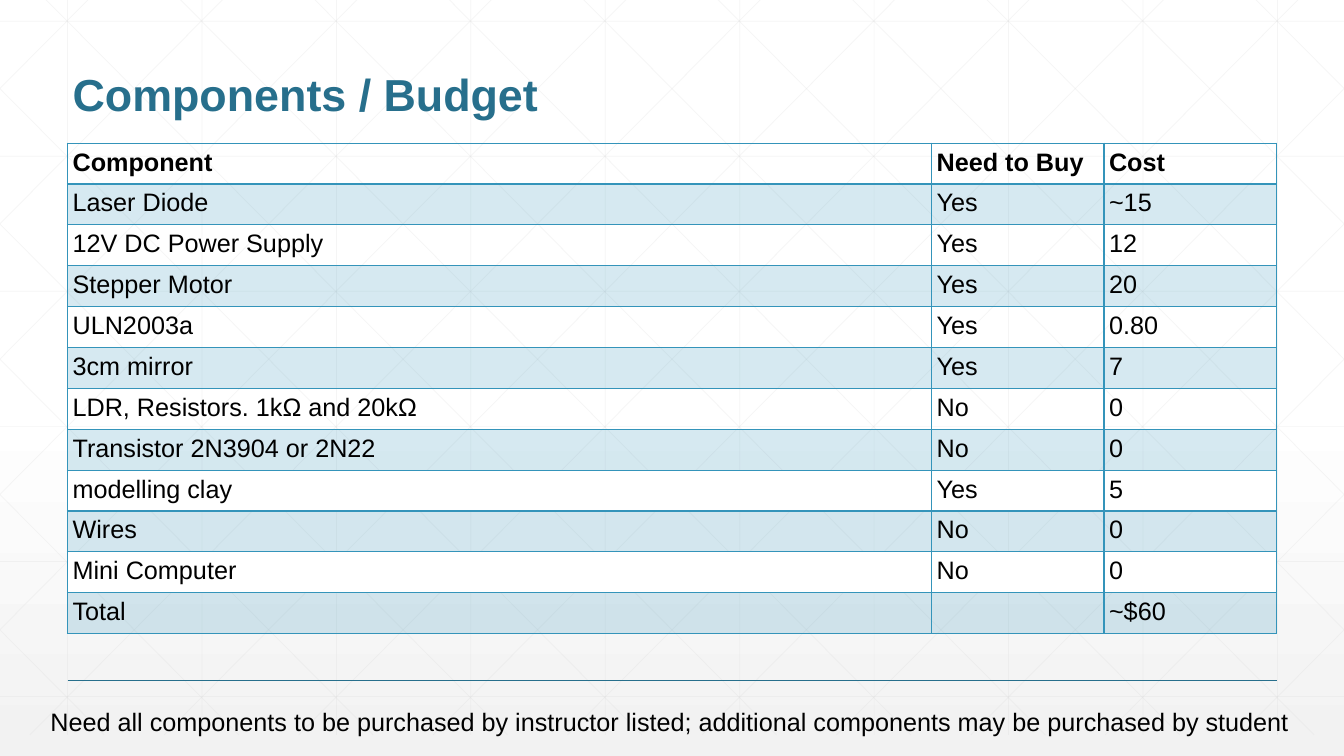
from lxml import etree
from pptx import Presentation
from pptx.dml.color import RGBColor
from pptx.enum.shapes import MSO_CONNECTOR
from pptx.enum.text import MSO_ANCHOR
from pptx.oxml import parse_xml
from pptx.oxml.ns import nsdecls, qn
from pptx.util import Inches, Pt

TITLE = "Components / Budget"
HEADER = ("Component", "Need to Buy", "Cost")
ITEMS = [
    ("Laser Diode", "Yes", "~15"),
    ("12V DC Power Supply", "Yes", "12"),
    ("Stepper Motor", "Yes", "20"),
    ("ULN2003a", "Yes", "0.80"),
    ("3cm mirror", "Yes", "7"),
    ("LDR, Resistors. 1kΩ and 20kΩ", "No", "0"),
    ("Transistor 2N3904 or 2N22", "No", "0"),
    ("modelling clay", "Yes", "5"),
    ("Wires", "No", "0"),
    ("Mini Computer", "No", "0"),
    ("Total", "", "~$60"),
]
NOTE = ("Need all components to be purchased by instructor listed; "
        "additional components may be purchased by student")

FONT = "Arial"
WHITE = RGBColor(0xFF, 0xFF, 0xFF)
BLACK = RGBColor(0, 0, 0)
PALE = RGBColor(0xF2, 0xF2, 0xF2)
GRID = RGBColor(0xD9, 0xD9, 0xD9)
TEAL = RGBColor(0x34, 0x94, 0xBA)
DARK_TEAL = RGBColor(0x27, 0x6F, 0x8C)

WIDTH, HEIGHT = 13.33, 7.5
LEFT, CONTENT_W = 0.67, 12
GRID_TOP, GRID_BOTTOM = -0.21, 7.29
GRID_STEP = 4 / 3
DIAGONAL_RUN = 7.45
TABLE_TOP, TABLE_H = 1.42, 4.87
COL_WIDTHS = (8.57, 1.71, 1.71)
INSET = Inches(0.05)
WHITE_ROWS = (8, 10)


def set_alpha(fill_parent, percent):
    """Make the solid colour inside an element partly transparent."""
    color = next(fill_parent.iter(qn("a:srgbClr")))
    etree.SubElement(color, qn("a:alpha")).set("val", str(percent * 1000))


def add_line(s, x1, y1, x2, y2, color, width):
    line = s.shapes.add_connector(MSO_CONNECTOR.STRAIGHT, Inches(x1), Inches(y1),
                                  Inches(x2), Inches(y2))
    line.line.color.rgb = color
    line.line.width = Pt(width)
    etree.SubElement(line._element.spPr, qn("a:effectLst"))
    return line


def grid_lines():
    """Yield the end points of the upright, level and slanted grid lines."""
    for i in range(10):
        x = LEFT + i * GRID_STEP
        yield x, GRID_TOP, x, GRID_BOTTOM
    for i in range(6):
        y = 0.21 + i * 1.34
        yield 0, y, WIDTH, y
    slope = (GRID_BOTTOM - GRID_TOP) / DIAGONAL_RUN
    for i in range(-5, 10):
        top_x = 0.25 + i * GRID_STEP
        x1, x2 = max(top_x, 0), min(top_x + DIAGONAL_RUN, WIDTH)
        y1, y2 = (GRID_TOP + (x - top_x) * slope for x in (x1, x2))
        yield x1, y1, x2, y2
        yield WIDTH - x1, y1, WIDTH - x2, y2


def style_text(tf, size, color, bold=False):
    tf.margin_left = tf.margin_right = tf.margin_top = tf.margin_bottom = INSET
    for r in tf.paragraphs[0].runs:
        r.font.name, r.font.size = FONT, Pt(size)
        r.font.bold, r.font.color.rgb = bold, color


def add_text(s, text, x, y, w, h, size, color, bold=False, wrap=True):
    tf = s.shapes.add_textbox(Inches(x), Inches(y), Inches(w), Inches(h)).text_frame
    tf.text = text
    tf.word_wrap = wrap
    style_text(tf, size, color, bold)
    return tf


def set_borders(cell, top, bottom):
    tcPr = cell._tc.get_or_add_tcPr()
    widths = {"lnL": 1, "lnR": 1, "lnT": top, "lnB": bottom}
    for i, (tag, width) in enumerate(widths.items()):
        tcPr.insert(i, parse_xml(
            f'<a:{tag} {nsdecls("a")} w="{Pt(width)}"><a:solidFill>'
            f'<a:srgbClr val="{TEAL}"/></a:solidFill></a:{tag}>'))


def fill_cell(cell, row):
    if row % 2:
        cell.fill.solid()
        cell.fill.fore_color.rgb = TEAL
        set_alpha(cell._tc.tcPr, 20)
    elif row in WHITE_ROWS:
        cell.fill.solid()
        cell.fill.fore_color.rgb = WHITE
    else:
        cell.fill.background()


def add_budget_table(s):
    rows = [HEADER] + ITEMS
    table = s.shapes.add_table(len(rows), len(HEADER), Inches(LEFT), Inches(TABLE_TOP),
                               Inches(CONTENT_W), Inches(TABLE_H)).table
    table.horz_banding = False
    for column, width in zip(table.columns, COL_WIDTHS):
        column.width = Inches(width)
    for i, values in enumerate(rows):
        table.rows[i].height = Inches(TABLE_H / len(rows))
        for j, value in enumerate(values):
            cell = table.cell(i, j)
            cell.text = value
            cell.margin_left = cell.margin_right = INSET
            cell.margin_top = cell.margin_bottom = INSET
            for r in cell.text_frame.paragraphs[0].runs:
                r.font.name, r.font.size = FONT, Pt(18)
                r.font.bold, r.font.color.rgb = i == 0, BLACK
            fill_cell(cell, i)
            set_borders(cell, 2 if i == 1 else 1, 2 if i == 0 else 1)


def main():
    prs = Presentation()
    prs.slide_width, prs.slide_height = Inches(WIDTH), Inches(HEIGHT)
    s = prs.slides.add_slide(prs.slide_layouts[6])

    fill = s.background.fill
    fill.gradient()
    fill.gradient_angle = 270
    for stop, position, color in zip(fill.gradient_stops, (0.53, 1), (WHITE, PALE)):
        stop.position, stop.color.rgb = position, color

    for ends in grid_lines():
        set_alpha(add_line(s, *ends, GRID, 0.5)._element.spPr, 25)
    add_line(s, LEFT, 6.75, LEFT + CONTENT_W, 6.75, DARK_TEAL, 1)

    title = add_text(s, TITLE, LEFT, 0.25, CONTENT_W, 1, 32, DARK_TEAL, bold=True)
    title.vertical_anchor = MSO_ANCHOR.BOTTOM
    title.paragraphs[0].line_spacing = 0.9
    add_budget_table(s)
    add_text(s, NOTE, 0.45, 6.96, 12.47, 0.38, 18, BLACK, wrap=False)

    prs.save("out.pptx")


if __name__ == "__main__":
    main()
